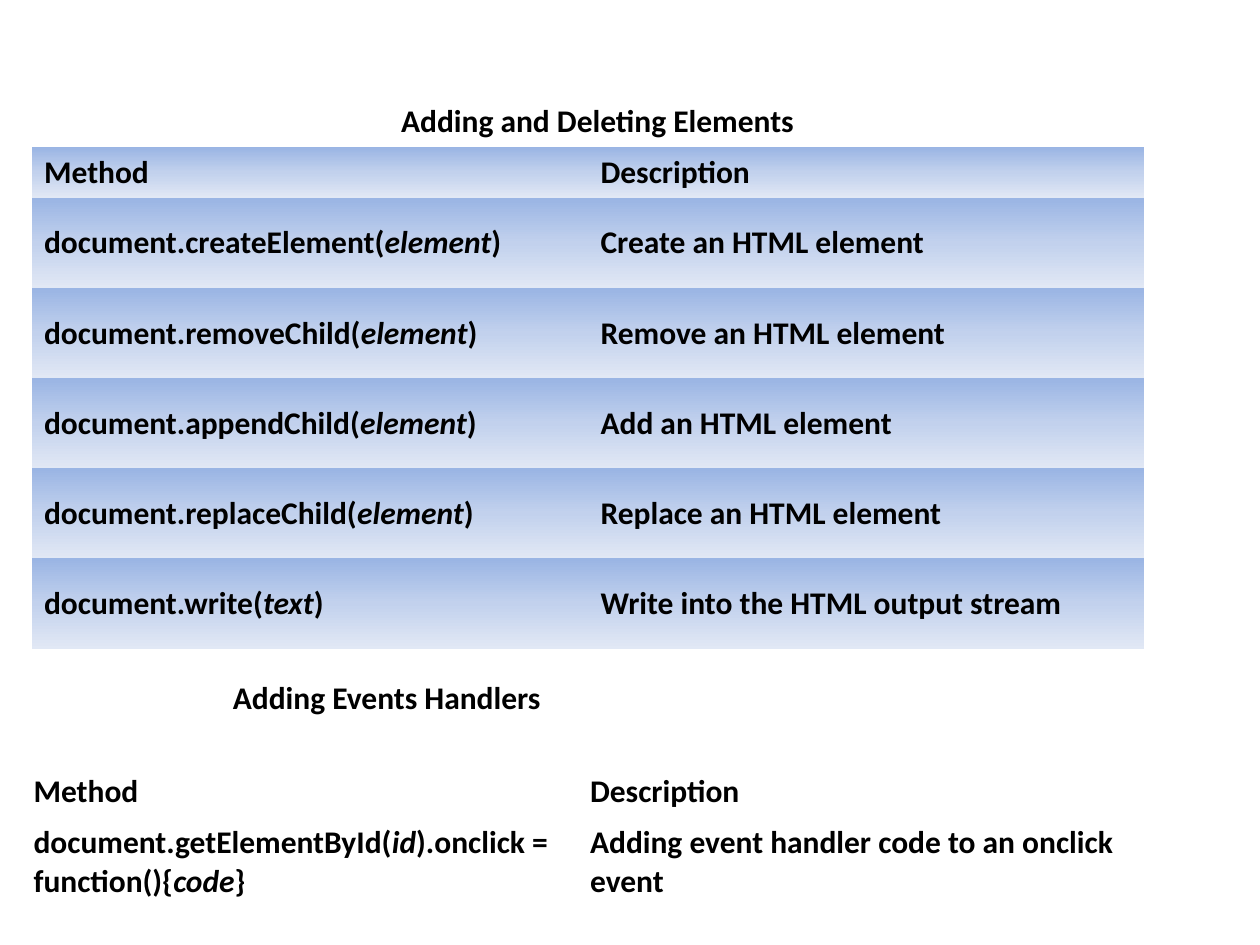
"""Build a slide with two tables of DOM methods for elements and event handlers."""
from lxml import etree
from pptx import Presentation
from pptx.dml.color import RGBColor
from pptx.enum.text import MSO_ANCHOR, MSO_AUTO_SIZE, PP_ALIGN
from pptx.oxml.ns import qn
from pptx.util import Pt

MIDDLE, TOP = MSO_ANCHOR.MIDDLE, MSO_ANCHOR.TOP
LEFT = PP_ALIGN.LEFT
FIT_SHAPE = MSO_AUTO_SIZE.SHAPE_TO_FIT_TEXT
TITLE_ONLY = 5
NO_STYLE = "{2D5ABB26-0587-4C30-8999-92F81FD0307C}"
FONT = "Calibri"
COLORS = {"text": "000000", "top": "9AB5E4", "middle": "C2D1ED", "bottom": "E1E8F5"}
SHADING = [(0, "top"), (50, "middle"), (100, "bottom")]
COLUMN_WIDTH, HEADER_HEIGHT = 318, 29.2

HEADER = (["Method"], "Description")
ELEMENT_ROWS = [
    HEADER,
    (["document.createElement(", "element", ")"], "Create an HTML element"),
    (["document.removeChild(", "element", ")"], "Remove an HTML element"),
    (["document.appendChild(", "element", ")"], "Add an HTML element"),
    (["document.replaceChild(", "element", ")"], "Replace an HTML element"),
    (["document.write(", "text", ")"], "Write into the HTML output stream"),
]
EVENT_ROWS = [
    HEADER,
    (["document.getElementById(", "id", ").onclick = function(){", "code", "}"],
     "Adding event handler code to an onclick event"),
]


def add_runs(para, parts):
    """Add bold runs, with every second part in italics."""
    para.alignment = LEFT
    for index, part in enumerate(parts):
        span = para.add_run()
        span.text = part
        font = span.font
        font.name, font.size, font.bold = FONT, Pt(18), True
        font.italic = index % 2 == 1
        font.color.rgb = RGBColor.from_string(COLORS["text"])


def format_heading(box, left, top, width, text):
    """Place a heading box and write its single line."""
    box.left, box.top, box.width, box.height = Pt(left), Pt(top), Pt(width), Pt(29)
    frame = box.text_frame
    frame.word_wrap = False
    frame.auto_size = FIT_SHAPE
    frame.vertical_anchor = TOP
    add_runs(frame.paragraphs[0], [text])


def shade_cell(cell):
    """Fill a cell with the vertical three-stop gradient."""
    gradient = etree.SubElement(cell._tc.get_or_add_tcPr(), qn("a:gradFill"))
    stops = etree.SubElement(gradient, qn("a:gsLst"))
    for percent, name in SHADING:
        stop = etree.SubElement(stops, qn("a:gs"), pos=str(percent * 1000))
        etree.SubElement(stop, qn("a:srgbClr"), val=COLORS[name])
    etree.SubElement(gradient, qn("a:lin"), ang="5400000", scaled="0")


def add_method_table(page, left, top, rows, row_height, shaded):
    """Add a two-column table of methods and descriptions."""
    height = HEADER_HEIGHT + row_height * (len(rows) - 1)
    table = page.shapes.add_table(
        len(rows), 2, Pt(left), Pt(top), Pt(2 * COLUMN_WIDTH), Pt(height)).table
    table._tbl.tblPr.find(qn("a:tableStyleId")).text = NO_STYLE
    table.horz_banding = False
    for column in table.columns:
        column.width = Pt(COLUMN_WIDTH)
    for index, (method, description) in enumerate(rows):
        table.rows[index].height = Pt(row_height if index else HEADER_HEIGHT)
        for cell, parts in zip(table.rows[index].cells, (method, [description])):
            cell.vertical_anchor = MIDDLE
            add_runs(cell.text_frame.paragraphs[0], parts)
            if shaded:
                shade_cell(cell)
            else:
                cell.fill.background()


def main():
    """Build and save the slide."""
    deck = Presentation()
    deck.slide_width, deck.slide_height = Pt(720), Pt(540)
    page = deck.slides.add_slide(deck.slide_layouts[TITLE_ONLY])
    format_heading(page.shapes.title, 222, 54, 240.5, "Adding and Deleting Elements")
    add_method_table(page, 18, 84, ELEMENT_ROWS, 51.5, True)
    events_heading = page.shapes.add_textbox(0, 0, 0, 0)
    format_heading(events_heading, 126, 384, 191.5, "Adding Events Handlers")
    add_method_table(page, 12, 438, EVENT_ROWS, 50, False)
    deck.save("out.pptx")


if __name__ == "__main__":
    main()
